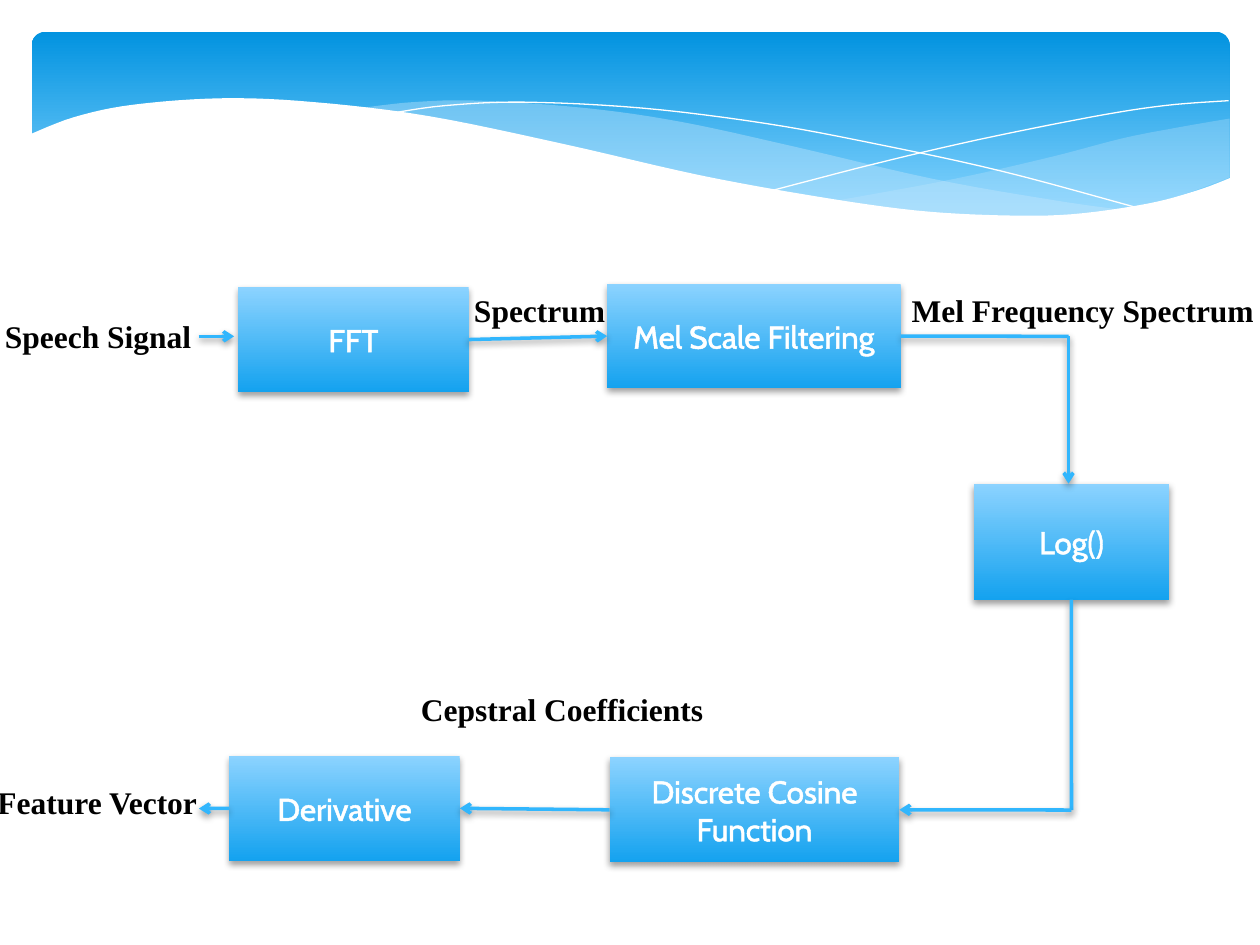
"""Build a slide showing the speech feature extraction pipeline."""
from itertools import pairwise

from lxml.etree import SubElement
from pptx import Presentation
from pptx.dml.color import RGBColor
from pptx.enum.shapes import MSO_CONNECTOR, MSO_SHAPE
from pptx.enum.text import MSO_ANCHOR, PP_ALIGN
from pptx.oxml.ns import qn
from pptx.util import Cm, Pt

THEME = {
    "header": [(0, "0293E0"), (0.9, "83D3FE")],
    "box": [(0, "8CD3FF"), (1, "14A2EF")],
    "swell": "C6E7FC",
    "white": "FFFFFF",
    "black": "000000",
    "arrow": "31B6FD",
    "box_font": {"name": "Cabin", "size": Pt(18)},
    "label_font": {"name": "Times New Roman", "size": Pt(18), "bold": True},
}

HEADER = (0.64, 0.64, 24.15, 3.96)

SWELLS = [
    (29, [
        [(24.79, 2.39), (23.75, 2.57), (22.63, 2.79), (21.13, 3.18), (19.13, 3.63), (16.79, 4.06)],
        [(16.79, 4.06), (18.26, 4.24), (19.84, 4.37), (21.21, 4.37), (22.38, 4.24), (23.57, 4.01),
         (24.79, 3.58)],
    ]),
    (40, [
        [(22.68, 4.24), (21.26, 4.04), (18.82, 3.61), (15.98, 2.95), (13.74, 2.46), (11.81, 2.18),
         (9.65, 2.03), (8.33, 2.06), (7.26, 2.18)],
        [(7.26, 2.18), (8.69, 2.39), (11.4, 2.95), (14.38, 3.63), (16.51, 4.01), (18.34, 4.27),
         (20.22, 4.39), (21.54, 4.37), (22.68, 4.24)],
    ]),
]
HAIRLINES = [
    [(7.85, 2.29), (8.97, 2.13), (10.57, 2.06), (12.95, 2.18), (15.44, 2.49), (17.65, 2.9),
     (20.19, 3.45), (23.04, 4.22)],
    [(15.57, 3.84), (17.65, 3.3), (19.71, 2.82), (22, 2.36), (23.47, 2.13), (24.77, 2.03)],
]
WAVE = [
    [(0.58, 2.72), (1.5, 2.36), (2.69, 2.11), (4.5, 1.98), (6.35, 2.06), (8.64, 2.34), (11.35, 2.9),
     (14.1, 3.53), (16.46, 3.96), (18.44, 4.24), (20.14, 4.34), (21.59, 4.32), (23.11, 4.11),
     (24.13, 3.84), (24.82, 3.58)],
    [(24.82, 5.69), (0.58, 5.69)],
]

BOXES = {
    "FFT": (4.8, 5.79, 4.65, 2.11),
    "Mel Scale Filtering": (12.24, 5.72, 5.92, 2.11),
    "Log()": (19.63, 9.75, 3.94, 2.34),
    "Discrete Cosine Function": (12.29, 15.27, 5.84, 2.11),
    "Derivative": (4.62, 15.24, 4.65, 2.11),
}
SIDES = {"left": (0, 0.5), "right": (1, 0.5), "bottom": (0.5, 1)}

ROUTES = [
    [(4.01, 6.78), (4.72, 6.78)],
    [("FFT", "right"), ("Mel Scale Filtering", "left")],
    [("Mel Scale Filtering", "right"), (21.54, 6.78), (21.54, 9.75)],
    [("Log()", "bottom"), (21.6, 16.33), ("Discrete Cosine Function", "right")],
    [("Discrete Cosine Function", "left"), ("Derivative", "right")],
    [("Derivative", "left"), (4.01, 16.3)],
]

LABEL_HEIGHT = 1.03
LABELS = [
    ("Speech Signal", -0.1, 6.27, 4.47, PP_ALIGN.LEFT),
    ("Spectrum", 8.74, 5.74, 3.66, PP_ALIGN.RIGHT),
    ("Mel Frequency Spectrum", 18.08, 5.74, 7.5, PP_ALIGN.CENTER),
    ("Cepstral Coefficients", 8.2, 13.79, 6.27, PP_ALIGN.CENTER),
    ("Feature Vector", -0.25, 15.67, 5.05, PP_ALIGN.LEFT),
]


def color(name):
    return RGBColor.from_string(THEME[name])


def apply_format(target, values):
    for name, value in values.items():
        setattr(target, name, value)


def fill_gradient(shape, stops):
    shape.fill.gradient()
    shape.fill.gradient_angle = 270
    for stop, (position, value) in zip(shape.fill.gradient_stops, stops):
        stop.position = position
        stop.color.rgb = RGBColor.from_string(value)


def add_shadow(effects):
    shadow = SubElement(effects, qn("a:outerShdw"), blurRad=str(Pt(4)), dist=str(Pt(2)),
                        dir="5400000", rotWithShape="0")
    shade = SubElement(shadow, qn("a:srgbClr"), val=THEME["black"])
    SubElement(shade, qn("a:alpha"), val="38000")


def add_block(slide, kind, box, stops):
    shape = slide.shapes.add_shape(kind, *map(Cm, box))
    shape.shadow.inherit = False
    fill_gradient(shape, stops)
    shape.line.fill.background()
    return shape


def smooth(points, steps=6):
    if len(points) < 3:
        return points
    padded = [points[0], *points, points[-1]]
    curve = [points[0]]
    for a, b, c, d in zip(padded, padded[1:], padded[2:], padded[3:]):
        for step in range(1, steps + 1):
            t = step / steps
            curve.append(tuple(
                (2 * q + (r - p) * t + (2 * p - 5 * q + 4 * r - s) * t**2
                 + (3 * q - p - 3 * r + s) * t**3) / 2
                for p, q, r, s in zip(a, b, c, d)))
    return curve


def add_curve(slide, edges, close=True):
    first, *rest = [(Cm(x), Cm(y)) for edge in edges for x, y in smooth(edge)]
    builder = slide.shapes.build_freeform(*first)
    builder.add_line_segments(rest, close=close)
    shape = builder.convert_to_shape()
    shape.shadow.inherit = False
    return shape


def add_area(slide, edges, fill, opacity=100):
    shape = add_curve(slide, edges)
    shape.fill.solid()
    shape.fill.fore_color.rgb = color(fill)
    shape.line.fill.background()
    if opacity < 100:
        tint = next(shape._element.spPr.iter(qn("a:srgbClr")))
        SubElement(tint, qn("a:alpha"), val=str(opacity * 1000))


def add_header(slide):
    header = add_block(slide, MSO_SHAPE.ROUNDED_RECTANGLE, HEADER, THEME["header"])
    header.adjustments[0] = 0.07
    for opacity, edges in SWELLS:
        add_area(slide, edges, "swell", opacity)
    for points in HAIRLINES:
        hairline = add_curve(slide, [points], close=False)
        hairline.fill.background()
        hairline.line.color.rgb = color("white")
        hairline.line.width = Pt(0)
    add_area(slide, WAVE, "white")


def write(shape, text, alignment, font, ink, **frame_format):
    frame = shape.text_frame
    apply_format(frame, {"word_wrap": True, **frame_format})
    paragraph = frame.paragraphs[0]
    paragraph.alignment = alignment
    run = paragraph.add_run()
    run.text = text
    apply_format(run.font, THEME[font])
    run.font.color.rgb = color(ink)
    return run


def add_box(slide, text, box):
    shape = add_block(slide, MSO_SHAPE.RECTANGLE, box, THEME["box"])
    add_shadow(shape._element.spPr.find(qn("a:effectLst")))
    run = write(shape, text, PP_ALIGN.CENTER, "box_font", "white",
                vertical_anchor=MSO_ANCHOR.MIDDLE)
    properties = run._r.get_or_add_rPr()
    outline = SubElement(properties, qn("a:ln"), w=str(Pt(1.45)))
    properties.insert(0, outline)
    SubElement(SubElement(outline, qn("a:solidFill")), qn("a:srgbClr"), val=THEME["white"])


def locate(stop):
    if stop[0] not in BOXES:
        return stop
    left, top, width, height = BOXES[stop[0]]
    across, down = SIDES[stop[1]]
    return left + across * width, top + down * height


def add_route(slide, stops):
    for start, end in pairwise(stops):
        ends = map(Cm, (*locate(start), *locate(end)))
        connector = slide.shapes.add_connector(MSO_CONNECTOR.STRAIGHT, *ends)
        connector.line.color.rgb = color("arrow")
        connector.line.width = Pt(2)
        properties = connector._element.spPr
        if end == stops[-1]:
            SubElement(properties.find(qn("a:ln")), qn("a:tailEnd"), type="arrow")
        add_shadow(SubElement(properties, qn("a:effectLst")))


def main():
    presentation = Presentation()
    apply_format(presentation, {"slide_width": Cm(25.4), "slide_height": Cm(19.05)})
    slide = presentation.slides.add_slide(presentation.slide_layouts[6])
    add_header(slide)
    for text, box in BOXES.items():
        add_box(slide, text, box)
    for stops in ROUTES:
        add_route(slide, stops)
    for text, left, top, width, alignment in LABELS:
        label = slide.shapes.add_textbox(*map(Cm, (left, top, width, LABEL_HEIGHT)))
        write(label, text, alignment, "label_font", "black",
              margin_left=Cm(0.2), margin_right=Cm(0.2))
    presentation.save("out.pptx")


if __name__ == "__main__":
    main()
